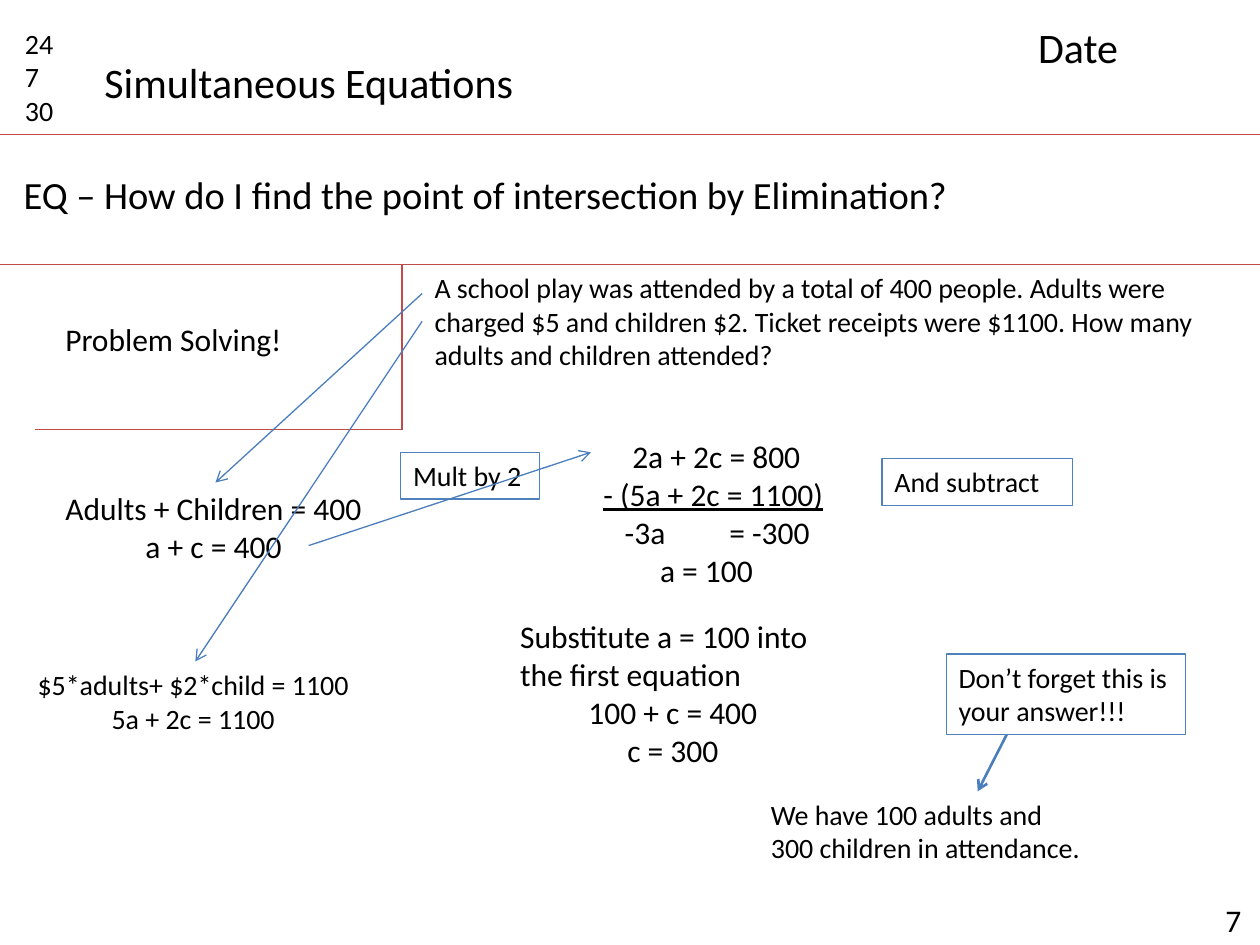
from dataclasses import dataclass

from lxml import etree
from pptx import Presentation
from pptx.dml.color import RGBColor
from pptx.enum.shapes import MSO_CONNECTOR, MSO_SHAPE
from pptx.enum.text import MSO_ANCHOR, MSO_AUTO_SIZE, PP_ALIGN
from pptx.oxml.ns import qn
from pptx.util import Inches, Pt

STRAIGHT = MSO_CONNECTOR.STRAIGHT
RECTANGLE = MSO_SHAPE.RECTANGLE
TOP = MSO_ANCHOR.TOP
GROW = MSO_AUTO_SIZE.SHAPE_TO_FIT_TEXT
LEFT, CENTER = PP_ALIGN.LEFT, PP_ALIGN.CENTER

FONT = "Calibri"
COLORS = {"text": "000000", "rule": "BF4C48", "arrow": "4B7EBC", "frame": "4F81BD"}
PAGE_WIDTH, PAGE_HEIGHT = 10, 7.5
HEADER_BOTTOM, QUESTION_BOTTOM = 1.07, 2.1
TOPIC_RIGHT, TOPIC_BOTTOM = 3.19, 3.41


@dataclass
class Line:
    text: str
    align: PP_ALIGN = LEFT
    indent: float = 0
    tabs: tuple[float, ...] = ()
    underline: bool = False


@dataclass
class Note:
    left: float
    top: float
    width: float
    height: float
    size: int
    lines: list[Line]
    wrap: bool = True
    framed: bool = False


@dataclass
class Stroke:
    start: tuple[float, float]
    end: tuple[float, float]
    color: str = "rule"
    weight: float = 0.75

    @property
    def has_head(self) -> bool:
        return self.color == "arrow"


STROKES = [
    Stroke((0, HEADER_BOTTOM), (PAGE_WIDTH, HEADER_BOTTOM)),
    Stroke((0, QUESTION_BOTTOM), (PAGE_WIDTH, QUESTION_BOTTOM)),
    Stroke((TOPIC_RIGHT, QUESTION_BOTTOM), (TOPIC_RIGHT, TOPIC_BOTTOM)),
    Stroke((TOPIC_RIGHT, TOPIC_BOTTOM), (0.28, TOPIC_BOTTOM)),
    Stroke((3.35, 2.33), (1.71, 3.83), "arrow"),
    Stroke((3.35, 2.55), (1.55, 5.25), "arrow"),
    Stroke((2.45, 4.33), (4.69, 3.59), "arrow"),
    Stroke((7.99, 5.83), (7.76, 6.28), "arrow", 1.5),
]

NOTES = [
    Note(9.57, 7.1, 0.6, 0.4, 18, [Line(" 7")]),
    Note(0.1, 0.16, 0.63, 0.91, 16, [Line("24"), Line("7"), Line("30")]),
    Note(8.14, 0.12, 1.73, 0.5, 24, [Line("Date")]),
    Note(0.09, 1.31, 9.77, 0.47, 22,
         [Line("EQ – How do I find the point of intersection by Elimination?")]),
    Note(0.73, 0.4, 3.48, 0.5, 24, [Line("Simultaneous Equations")], wrap=False),
    Note(3.35, 2.1, 6.22, 0.91, 16,
         [Line("A school play was attended by a total of 400 people. Adults were "
               "charged $5 and children $2. Ticket receipts were $1100. "
               "How many adults and children attended?")]),
    Note(0.42, 2.49, 1.94, 0.4, 18, [Line("Problem Solving!")], wrap=False),
    Note(0.42, 3.83, 2.58, 0.71, 18,
         [Line("Adults + Children = 400"), Line("a + c = 400", CENTER)], wrap=False),
    Note(0.2, 5.25, 2.7, 0.64, 16,
         [Line("$5*adults+ $2*child = 1100"), Line("5a + 2c = 1100", CENTER)], wrap=False),
    Note(6.02, 6.28, 2.66, 0.64, 16,
         [Line("We have 100 adults and 300 children in attendance.")]),
    Note(4.69, 3.42, 1.97, 1.31, 18,
         [Line("2a + 2c = 800", indent=0.23),
          Line("- (5a + 2c = 1100)", underline=True),
          Line("\t-3a\t= -300", tabs=(0.17, 1)),
          Line("a = 100", indent=0.45)], wrap=False),
    Note(4.03, 4.85, 2.62, 1.31, 18,
         [Line("Substitute a = 100 into the first equation"),
          Line("100 + c = 400", CENTER), Line("c = 300", CENTER)]),
    Note(3.18, 3.59, 1.1, 0.37, 16, [Line("Mult by 2")], framed=True),
    Note(7, 3.64, 1.51, 0.37, 16, [Line("And subtract")], framed=True),
    Note(7.51, 5.19, 1.9, 0.64, 16,
         [Line("Don’t forget this is your answer!!!")], framed=True),
]


def rgb(name: str) -> RGBColor:
    return RGBColor.from_string(COLORS[name])


def write_line(para, line: Line, size: int) -> None:
    para.text = line.text
    para.alignment = line.align
    properties = para._p.get_or_add_pPr()
    if line.indent:
        properties.set("marL", str(Inches(line.indent)))
        properties.set("indent", "0")
    if line.tabs:
        stops = etree.SubElement(properties, qn("a:tabLst"))
        for position in line.tabs:
            etree.SubElement(stops, qn("a:tab"), pos=str(Inches(position)), algn="l")
    for span in para.runs:
        span.font.name = FONT
        span.font.size = Pt(size)
        span.font.color.rgb = rgb("text")
        if line.underline:
            span.font.underline = True


def add_note(page, note: Note) -> None:
    place = [Inches(v) for v in (note.left, note.top, note.width, note.height)]
    if note.framed:
        box = page.shapes.add_shape(RECTANGLE, *place)
        box.shadow.inherit = False
        box.fill.background()
        box.line.color.rgb = rgb("frame")
        box.line.width = Pt(0.75)
    else:
        box = page.shapes.add_textbox(*place)
    frame = box.text_frame
    frame.word_wrap = note.wrap
    frame.auto_size = GROW
    frame.vertical_anchor = TOP
    for index, line in enumerate(note.lines):
        para = frame.add_paragraph() if index else frame.paragraphs[0]
        write_line(para, line, note.size)


def add_stroke(page, stroke: Stroke) -> None:
    ends = [Inches(v) for v in stroke.start + stroke.end]
    connector = page.shapes.add_connector(STRAIGHT, *ends)
    connector.line.color.rgb = rgb(stroke.color)
    connector.line.width = Pt(stroke.weight)
    if stroke.has_head:
        etree.SubElement(connector.line._get_or_add_ln(), qn("a:tailEnd"), type="arrow")
    etree.SubElement(connector._element.spPr, qn("a:effectLst"))


def main() -> None:
    deck = Presentation()
    deck.slide_width, deck.slide_height = Inches(PAGE_WIDTH), Inches(PAGE_HEIGHT)
    page = deck.slides.add_slide(deck.slide_layouts[6])
    for note in NOTES:
        add_note(page, note)
    for stroke in STROKES:
        add_stroke(page, stroke)
    deck.save("out.pptx")


if __name__ == "__main__":
    main()
